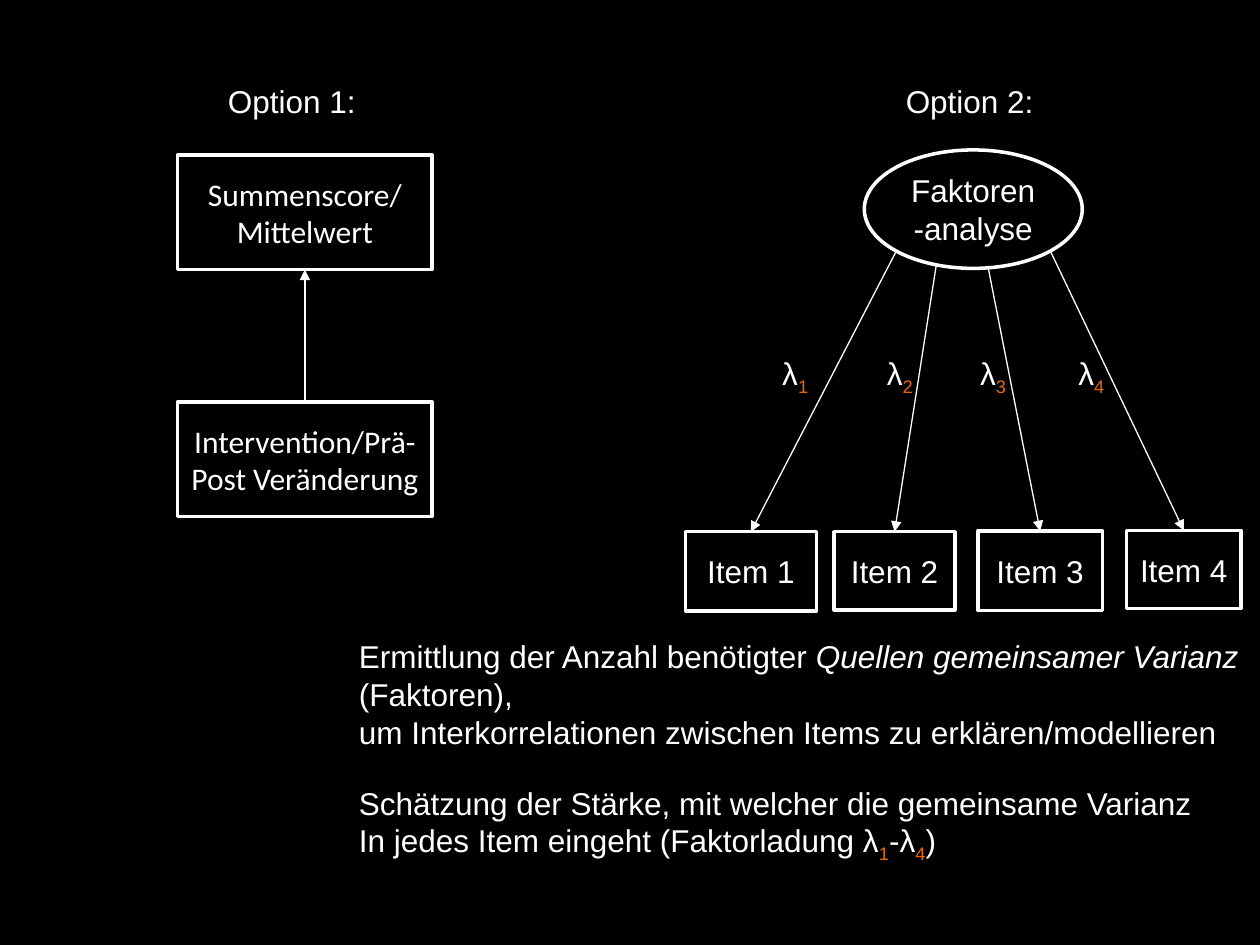
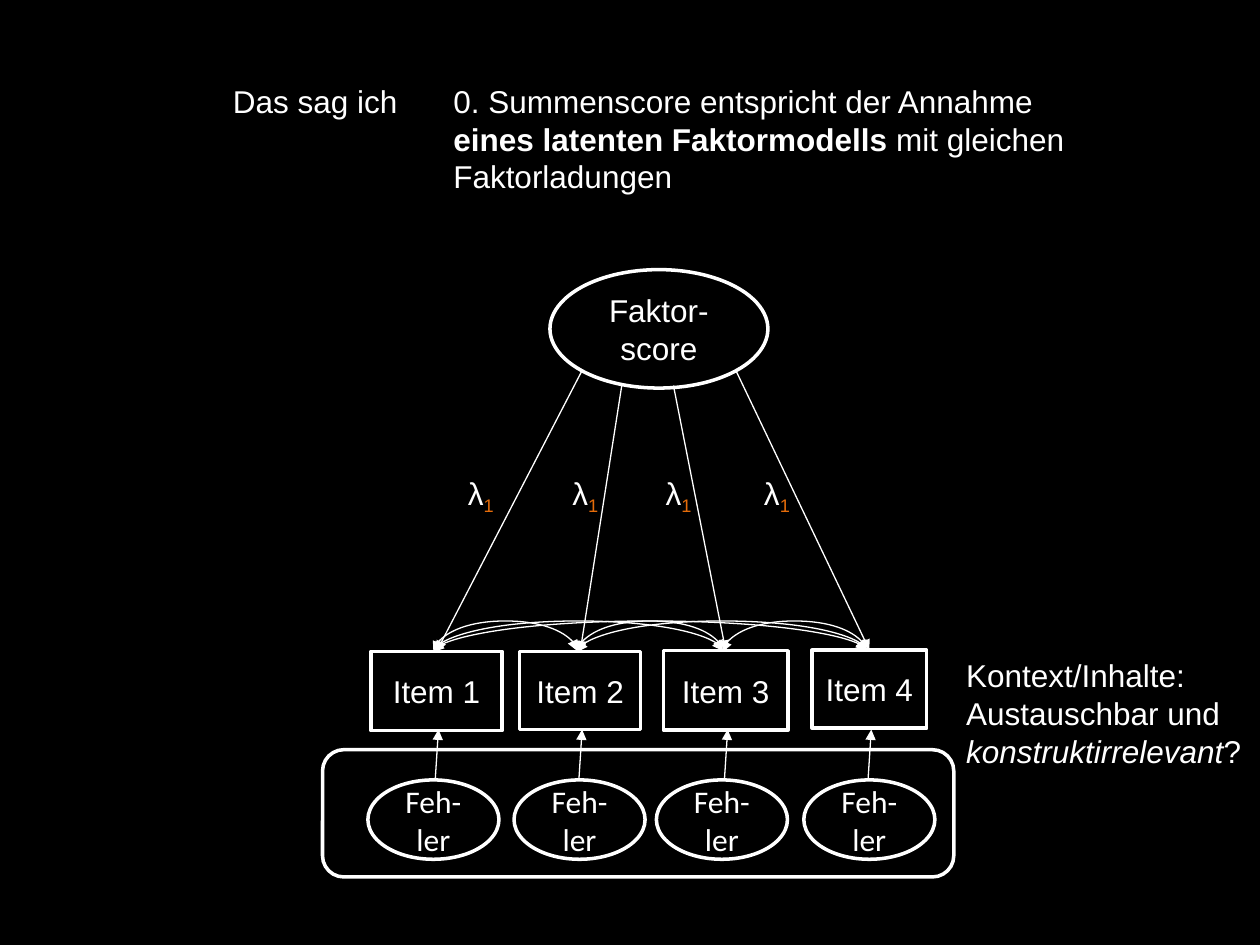
from dataclasses import dataclass
from itertools import combinations
from typing import NamedTuple

from lxml.etree import SubElement
from pptx import Presentation
from pptx.dml.color import RGBColor
from pptx.enum.shapes import MSO_CONNECTOR, MSO_SHAPE
from pptx.enum.text import MSO_ANCHOR, MSO_AUTO_SIZE, PP_ALIGN
from pptx.oxml.ns import qn
from pptx.shapes.connector import Connector
from pptx.slide import Slide
from pptx.text.text import TextFrame
from pptx.util import Inches, Pt

WHITE = RGBColor(0xFF, 0xFF, 0xFF)
BLACK = RGBColor(0x00, 0x00, 0x00)
ORANGE = RGBColor(0xE4, 0x6C, 0x0A)
SANS, ALT = "Arial", "Calibri"
SIZE = Pt(18)
WIDTH, HEIGHT = Inches(10), Inches(7.5)
COLS, ROWS = 100, 75
HEAD = 6  # row of the heading boxes


class Box(NamedTuple):
    """Columns and rows of the slide grid."""
    x: float
    y: float
    w: float
    h: float

    def move(self, dx: float, dy: float) -> "Box":
        return Box(self.x + dx, self.y + dy, self.w, self.h)

    def mid(self) -> float:
        return self.x + self.w / 2

    def place(self) -> tuple[int, int, int, int]:
        return (*spot(self.x, self.y), *spot(self.w, self.h))


class Part(NamedTuple):
    """A stretch of text in one style."""
    text: str
    bold: bool = False
    slant: bool = False
    sub: bool = False


@dataclass(frozen=True)
class Item:
    name: str
    box: Box
    start: tuple[float, float]
    label: float


Line = tuple[Part, ...]

OVAL = Box(68.6, 11.9, 17.3, 9.4)
ITEMS = (
    Item("Item 1", Box(54.4, 42.2, 10.4, 6.3), (71.1, 20), 61.1),
    Item("Item 2", Box(66.2, 42.2, 9.6, 6.2), (74.3, 21.1), 69.4),
    Item("Item 3", Box(77.6, 42.15, 9.9, 6.3), (78.4, 21.1), 76.8),
    Item("Item 4", Box(89.4, 42.1, 9.1, 6.2), (83.4, 20), 84.6),
)
SHIFT = (-24.95, 9.5)


def spot(x: float, y: float) -> tuple[int, int]:
    return round(x * WIDTH / COLS), round(y * HEIGHT / ROWS)


def plain(text: str) -> list[Line]:
    return [(Part(line),) for line in text.split("\n")]


def write(frame: TextFrame, lines: list[Line], font: str, align: PP_ALIGN) -> None:
    frame.word_wrap = True
    for n, line in enumerate(lines):
        para = frame.add_paragraph() if n else frame.paragraphs[0]
        para.alignment = align
        for part in line:
            run = para.add_run()
            run.text = part.text
            run.font.name, run.font.size = font, SIZE
            run.font.bold, run.font.italic = part.bold, part.slant
            run.font.color.rgb = ORANGE if part.sub else WHITE
            if part.sub:
                run.font._element.set("baseline", "-25000")


def note(slide: Slide, box: Box, lines: list[Line]) -> None:
    frame = slide.shapes.add_textbox(*box.place()).text_frame
    write(frame, lines, SANS, PP_ALIGN.LEFT)
    frame.auto_size = MSO_AUTO_SIZE.SHAPE_TO_FIT_TEXT


def node(slide: Slide, kind: MSO_SHAPE, box: Box, text: str = "", font: str = SANS) -> None:
    """Draw an outlined shape with centred text."""
    shape = slide.shapes.add_shape(kind, *box.place())
    shape.shadow.inherit = False
    shape.fill.background()
    shape.line.color.rgb, shape.line.width = WHITE, Pt(2)
    if text:
        shape.text_frame.vertical_anchor = MSO_ANCHOR.MIDDLE
        write(shape.text_frame, plain(text), font, PP_ALIGN.CENTER)


def link(slide: Slide, kind: MSO_CONNECTOR, start: tuple[float, float],
         end: tuple[float, float], tips: tuple[str, ...] = ("tailEnd",)) -> Connector:
    line = slide.shapes.add_connector(kind, *spot(*start), *spot(*end))
    line.line.color.rgb, line.line.width = WHITE, Pt(0.75)
    for tip in tips:
        SubElement(line.line._get_or_add_ln(), qn(f"a:{tip}"), type="triangle")
    SubElement(line._element.spPr, qn("a:effectLst"))
    return line


def arrow(slide: Slide, start: tuple[float, float], end: tuple[float, float]) -> None:
    link(slide, MSO_CONNECTOR.STRAIGHT, start, end)


def arc(slide: Slide, left: float, right: float, row: float) -> None:
    """Join two points of a row by a curve that rises 2.5 rows: an upright
    connector 0.1 columns wide, turned by a quarter."""
    mid, half = (left + right) / 2, (right - left) / 2
    line = link(slide, MSO_CONNECTOR.CURVE, (mid + 0.05, row + half),
                (mid - 0.05, row - half), ("headEnd", "tailEnd"))
    props = line._element.spPr
    props.find(qn("a:xfrm")).set("rot", "5400000")
    guides = props.find(qn("a:prstGeom")).find(qn("a:avLst"))
    SubElement(guides, qn("a:gd"), name="adj1", fmla="val 2500000")


def model(slide: Slide, title: str, marks: str, dx: float = 0, dy: float = 0) -> None:
    """Draw the factor, its items and the loadings between them."""
    for item in ITEMS:
        node(slide, MSO_SHAPE.RECTANGLE, item.box.move(dx, dy), item.name)
    node(slide, MSO_SHAPE.OVAL, OVAL.move(dx, dy), title)
    for item, mark in zip(ITEMS, marks):
        x, y = item.start
        arrow(slide, (x + dx, y + dy), (item.box.mid() + dx, item.box.y + dy))
        note(slide, Box(item.label, 27.6, 7.8, 4).move(dx, dy),
             [(Part("λ"), Part(mark, sub=True))])


def choice(slide: Slide) -> None:
    """Slide 1: sum score against factor analysis."""
    model(slide, "Faktoren-analyse", "1234")
    score = Box(14.1, 12.3, 20.2, 9.1)
    change = score.move(0, 19.6)
    node(slide, MSO_SHAPE.RECTANGLE, score, "Summenscore/\nMittelwert", ALT)
    node(slide, MSO_SHAPE.RECTANGLE, change, "Intervention/Prä-Post Veränderung", ALT)
    arrow(slide, (change.mid(), change.y), (score.mid(), score.y + score.h))
    for n, x in enumerate((17.1, 70.9), 1):
        note(slide, Box(x, HEAD, 13.2, 4), plain(f"Option {n}:"))
    note(slide, Box(27.5, 50.1, 82.1, 10.1), [
        (Part("Ermittlung der Anzahl benötigter "),
         Part("Quellen gemeinsamer Varianz ", slant=True), Part("(Faktoren),")),
        (Part("um Interkorrelationen zwischen Items zu erklären/modellieren"),),
    ])
    note(slide, Box(27.5, 61.7, 82.1, 7.1), [
        (Part("Schätzung der Stärke, mit welcher die gemeinsame Varianz"),),
        (Part("In jedes Item eingeht (Faktorladung λ"), Part("1", sub=True),
         Part("-λ"), Part("4", sub=True), Part(")")),
    ])


def latent(slide: Slide) -> None:
    """Slide 2: the sum score as a factor model with equal loadings."""
    note(slide, Box(17.5, HEAD, 17.2, 4), plain("Das sag ich"))
    note(slide, Box(35, HEAD, 53.3, 10.1), [
        (Part("0. Summenscore entspricht der Annahme "),
         Part("eines latenten Faktormodells ", bold=True),
         Part("mit gleichen Faktorladungen")),
    ])
    model(slide, "Faktor-score", "1111", *SHIFT)
    mids = [item.box.mid() + SHIFT[0] for item in ITEMS]
    for left, right in combinations(mids, 2):
        arc(slide, left - 0.25, right - 0.25, 51.7)
    for x in (29.2, 40.8, 52.1, 63.8):
        node(slide, MSO_SHAPE.OVAL, Box(x, 61.9, 10.4, 6.3), "Feh-ler", ALT)
    for mid in mids:
        arrow(slide, (mid - 0.1, 61.8), (mid + 0.15, 57.9))
    note(slide, Box(75.7, 51.6, 24.3, 10.1), [
        (Part("Kontext/Inhalte:"),),
        (Part("Austauschbar und "), Part("konstruktirrelevant", slant=True), Part("?")),
    ])
    node(slide, MSO_SHAPE.ROUNDED_RECTANGLE, Box(25.6, 59.5, 50.1, 10.1))


def main() -> None:
    deck = Presentation()
    deck.slide_width, deck.slide_height = WIDTH, HEIGHT
    for draw in (choice, latent):
        slide = deck.slides.add_slide(deck.slide_layouts[6])
        slide.background.fill.solid()
        slide.background.fill.fore_color.rgb = BLACK
        draw(slide)
    deck.save("out.pptx")


if __name__ == "__main__":
    main()
